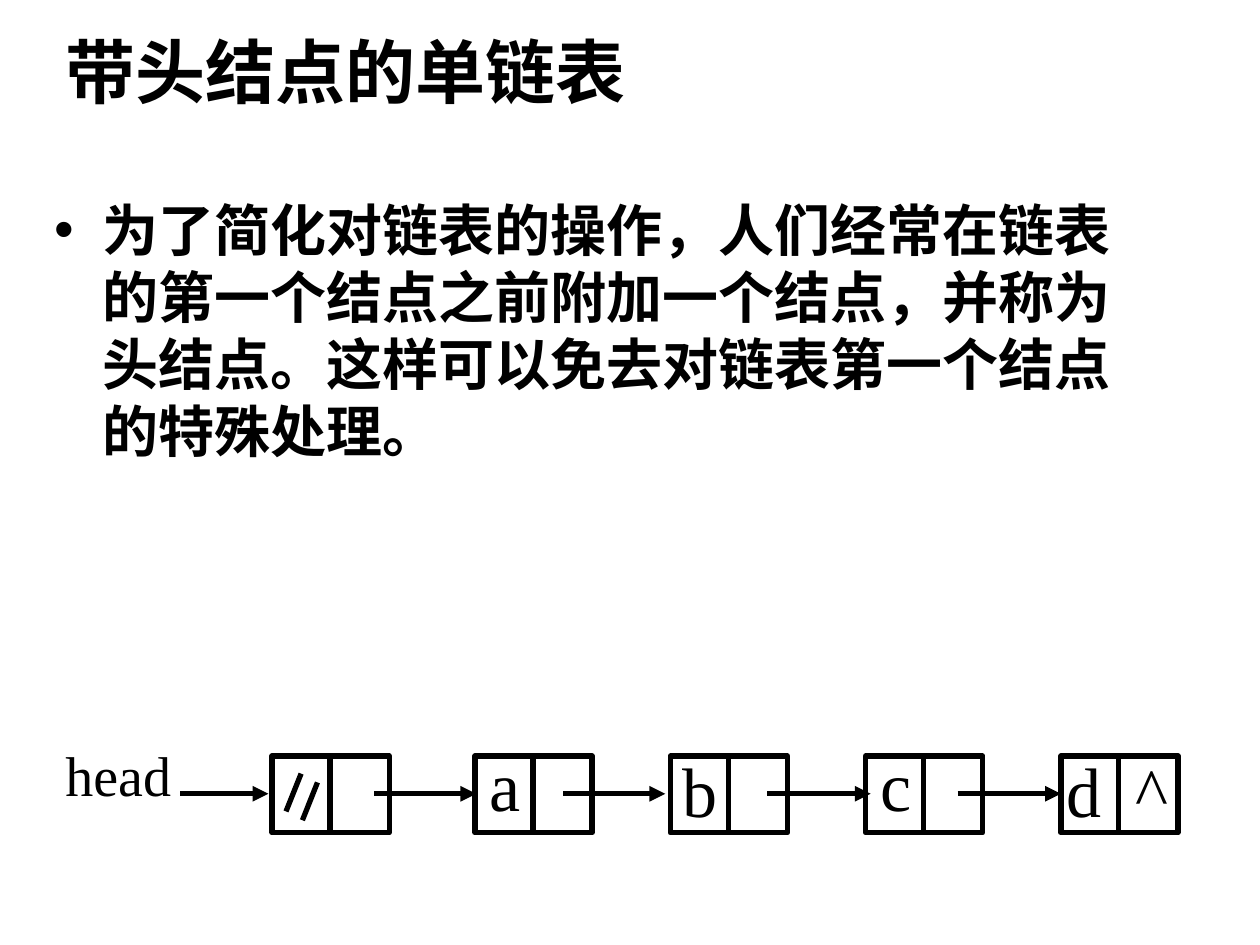
from lxml.etree import SubElement
from pptx import Presentation
from pptx.dml.color import RGBColor
from pptx.enum.shapes import MSO_CONNECTOR, MSO_SHAPE
from pptx.enum.text import MSO_ANCHOR, MSO_AUTO_SIZE, PP_ALIGN
from pptx.oxml.ns import qn
from pptx.util import Inches, Pt

BLACK = RGBColor(0, 0, 0)
HEADING_FONT = "Arial"
DIAGRAM_FONT = "Times New Roman"
NODE_TOP, NODE_WIDTH, NODE_HEIGHT = 6, 0.93, 0.61
DIVIDER_OFFSET = 0.46
ARROW_Y = 6.3


def place(shape, left, top, width, height):
    """Set the position and size of a shape in inches."""
    shape.left, shape.top = Inches(left), Inches(top)
    shape.width, shape.height = Inches(width), Inches(height)


def add_span(para, text, font, size, bold=False):
    """Append a black run to a paragraph."""
    span = para.add_run()
    span.text = text
    span.font.name = font
    span.font.size = Pt(size)
    span.font.bold = bold
    span.font.color.rgb = BLACK


def fill_placeholder(box, text, size, anchor):
    """Write bold left-aligned text into a placeholder and return its paragraph."""
    frame = box.text_frame
    frame.auto_size = MSO_AUTO_SIZE.NONE
    frame.vertical_anchor = anchor
    para = frame.paragraphs[0]
    para.alignment = PP_ALIGN.LEFT
    para.space_before = Pt(0)
    add_span(para, text, HEADING_FONT, size, bold=True)
    return para


def add_bullet(para):
    """Give a paragraph a black round bullet with a hanging indent."""
    properties = para._p.get_or_add_pPr()
    properties.set("marL", str(Inches(0.38)))
    properties.set("indent", str(-Inches(0.38)))
    color = SubElement(properties, qn("a:buClr"))
    SubElement(color, qn("a:srgbClr"), val=str(BLACK))
    SubElement(properties, qn("a:buChar"), char="•")


def add_label(shapes, text, left, top, width, size, spacing=None, tab=None):
    """Add a diagram label, with an optional tab stop in inches."""
    box = shapes.add_textbox(Inches(left), Inches(top), Inches(width), Inches(0.91))
    box.text_frame.word_wrap = True
    para = box.text_frame.paragraphs[0]
    para.line_spacing = spacing
    if tab:
        stops = SubElement(para._p.get_or_add_pPr(), qn("a:tabLst"))
        SubElement(stops, qn("a:tab"), pos=str(Inches(tab)), algn="l")
    add_span(para, text, DIAGRAM_FONT, size)


def add_line(shapes, start, end, arrow=False):
    """Add a straight black line, optionally with an arrowhead at its end."""
    line = shapes.add_connector(
        MSO_CONNECTOR.STRAIGHT, *(Inches(value) for value in (*start, *end))
    )
    line.line.color.rgb = BLACK
    line.line.width = Pt(3)
    if arrow:
        SubElement(line.line._get_or_add_ln(), qn("a:tailEnd"), type="triangle")
    SubElement(line._element.spPr, qn("a:effectLst"))


def add_node(shapes, left):
    """Add a list node split into a data cell and a pointer cell."""
    node = shapes.add_shape(MSO_SHAPE.RECTANGLE, 0, 0, 0, 0)
    place(node, left, NODE_TOP, NODE_WIDTH, NODE_HEIGHT)
    node.shadow.inherit = False
    node.fill.background()
    node.line.color.rgb = BLACK
    node.line.width = Pt(3)
    divider = left + DIVIDER_OFFSET
    add_line(shapes, (divider, NODE_TOP), (divider, NODE_TOP + NODE_HEIGHT))


def add_linked_list(shapes):
    """Draw the linked list from its head pointer to its last node."""
    add_label(shapes, "head", 0.42, 5.83, 1.25, 32)
    for text, left, top in (("a", 3.79, 5.88), ("b", 5.32, 5.93), ("c", 6.89, 5.88)):
        add_label(shapes, text, left, top, 0.58, 40, 0.96)
    add_label(shapes, "d\t^", 8.37, 5.93, 1.3, 40, 0.96, tab=0.54)
    for left in (2.16, 3.77, 5.32, 6.87, 8.42):
        add_node(shapes, left)
    for start, end in ((1.43, 2.13), (2.97, 3.78), (4.47, 5.28), (6.09, 6.91), (7.6, 8.42)):
        add_line(shapes, (start, ARROW_Y), (end, ARROW_Y), arrow=True)
    for x, y in ((2.39, 6.14), (2.52, 6.21)):
        add_line(shapes, (x, y), (x - 0.12, y + 0.3))


def main():
    """Build the slide and save the deck."""
    deck = Presentation()
    deck.slide_width, deck.slide_height = Inches(10), Inches(7.5)
    page = deck.slides.add_slide(deck.slide_layouts[1])
    title, body = page.placeholders
    place(title, 0.42, 0.17, 9, 0.78)
    fill_placeholder(title, "带头结点的单链表", 40, MSO_ANCHOR.MIDDLE)
    place(body, 0.33, 1.5, 9, 3.83)
    para = fill_placeholder(
        body,
        "为了简化对链表的操作，人们经常在链表的第一个结点之前附加一个结点，"
        "并称为头结点。这样可以免去对链表第一个结点的特殊处理。",
        32,
        MSO_ANCHOR.TOP,
    )
    add_bullet(para)
    add_linked_list(page.shapes.add_group_shape().shapes)
    deck.save("out.pptx")


if __name__ == "__main__":
    main()
